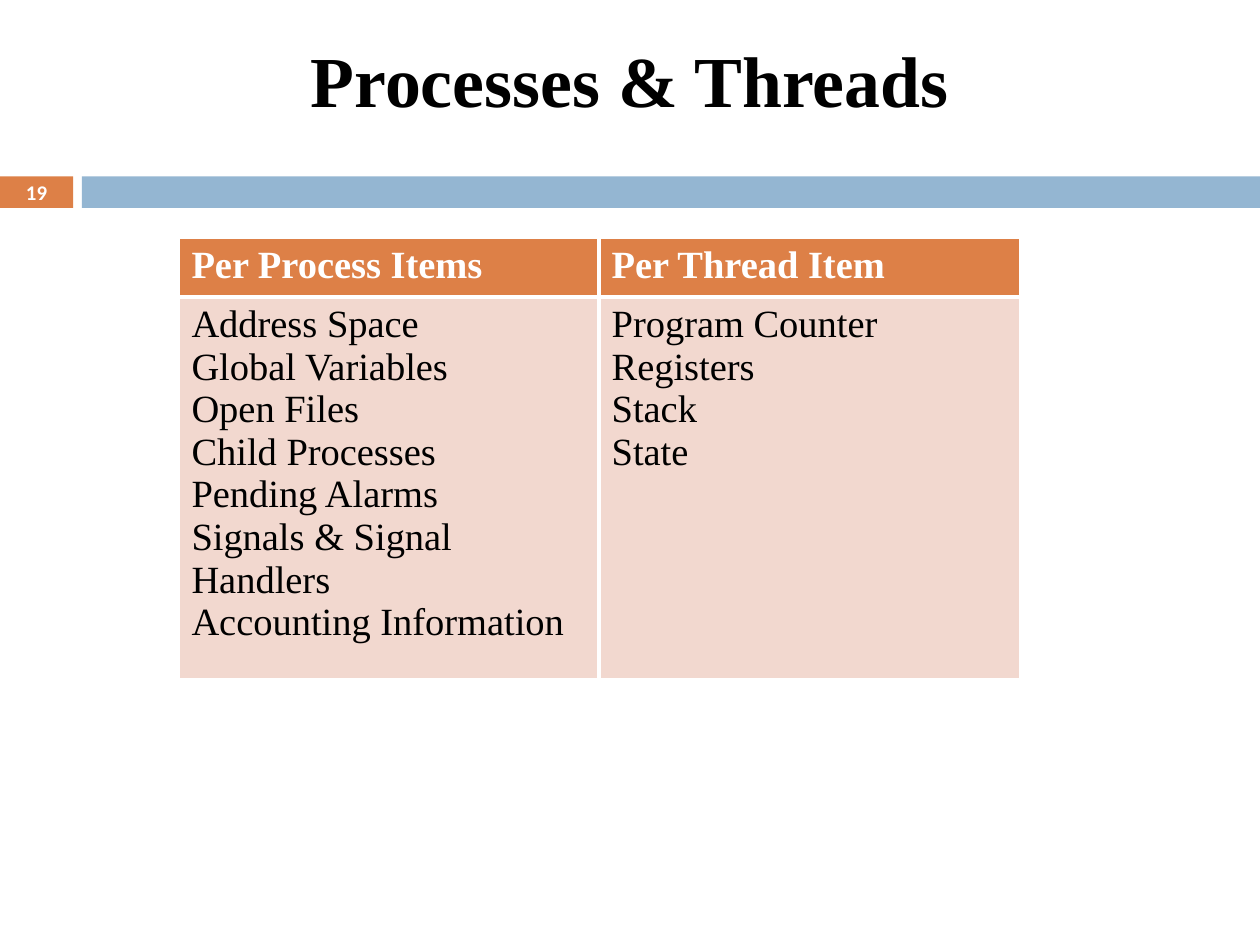
from lxml import etree
from pptx import Presentation
from pptx import util as u
from pptx.dml.color import RGBColor
from pptx.enum import shapes, text
from pptx.oxml.ns import qn

ORANGE = RGBColor(0xDD, 0x80, 0x47)
BLUE = RGBColor(0x94, 0xB6, 0xD2)
PINK = RGBColor(0xF2, 0xD8, 0xCF)
WHITE = RGBColor(0xFF, 0xFF, 0xFF)
BLACK = RGBColor(0x00, 0x00, 0x00)

WIDTH, HEIGHT = u.Inches(10), u.Inches(7.5)
SERIF = "Times New Roman"
TITLE = {"name": SERIF, "size": u.Pt(41), "bold": True, "color": BLACK}
NUMBER = {"name": "Calibri", "size": u.Pt(11.9), "bold": True, "color": WHITE}
HEADER = {"name": SERIF, "size": u.Pt(22), "bold": True, "color": WHITE}
BODY = {**HEADER, "bold": False, "color": BLACK}

COLUMNS = {
    "Per Process Items": [
        "Address Space", "Global Variables", "Open Files", "Child Processes",
        "Pending Alarms", "Signals & Signal Handlers", "Accounting Information",
    ],
    "Per Thread Item": ["Program Counter", "Registers", "Stack", "State"],
}


def place(left, top, width, height):
    return [round(share * side) for share, side in
            zip((left, top, width, height), (WIDTH, HEIGHT, WIDTH, HEIGHT))]


def write_lines(frame, lines, style, alignment):
    for index, line in enumerate(lines):
        paragraph = frame.add_paragraph() if index else frame.paragraphs[0]
        paragraph.alignment = alignment
        run = paragraph.add_run()
        run.text = line
        for name, value in style.items():
            if name == "color":
                run.font.color.rgb = value
            else:
                setattr(run.font, name, value)


def add_bar(slide, box, color):
    shape = slide.shapes.add_shape(shapes.MSO_SHAPE.RECTANGLE, *place(*box))
    shape.shadow.inherit = False
    shape.fill.solid()
    shape.fill.fore_color.rgb = color
    shape.line.fill.background()


def add_label(slide, box, line, style):
    frame = slide.shapes.add_textbox(*place(*box)).text_frame
    layout = {"word_wrap": True, "vertical_anchor": text.MSO_ANCHOR.MIDDLE,
              "margin_top": 0, "margin_bottom": 0}
    for name, value in layout.items():
        setattr(frame, name, value)
    write_lines(frame, [line], style, text.PP_ALIGN.CENTER)


def set_borders(cell, widths):
    properties = cell._tc.get_or_add_tcPr()
    for index, (side, points) in enumerate(widths.items()):
        line = etree.Element(qn(f"a:ln{side}"), w=str(u.Pt(points)))
        fill = etree.SubElement(line, qn("a:solidFill"))
        etree.SubElement(fill, qn("a:srgbClr"), val=str(WHITE))
        properties.insert(index, line)


def fill_cell(cell, lines, style, color, widths):
    cell.fill.solid()
    cell.fill.fore_color.rgb = color
    write_lines(cell.text_frame, lines, style, text.PP_ALIGN.LEFT)
    set_borders(cell, widths)


def add_items_table(slide, box):
    table = slide.shapes.add_table(2, len(COLUMNS), *place(*box)).table
    for row in table.rows:
        row.height = u.Inches(0.41)
    for column, (heading, items) in enumerate(COLUMNS.items()):
        sides = {"L": 3 if column else 1, "R": 1 if column else 3, "T": 1}
        fill_cell(table.cell(0, column), [heading], HEADER, ORANGE, {**sides, "B": 3})
        fill_cell(table.cell(1, column), items, BODY, PINK, {**sides, "B": 1})


def main():
    presentation = Presentation()
    presentation.slide_width, presentation.slide_height = WIDTH, HEIGHT
    slide = presentation.slides.add_slide(presentation.slide_layouts[6])
    band_top, band_height = 1.4 / 7.5, 0.25 / 7.5
    add_bar(slide, (0, band_top, 0.058, band_height), ORANGE)
    add_bar(slide, (0.065, band_top, 0.935, band_height), BLUE)
    add_label(slide, (0, 0, 1, 1 / 6), "Processes & Threads", TITLE)
    add_items_table(slide, (0.142, 0.252, 0.667, 0.11))
    add_label(slide, (0, band_top, 0.058, band_height), "19", NUMBER)
    presentation.save("out.pptx")


if __name__ == "__main__":
    main()
